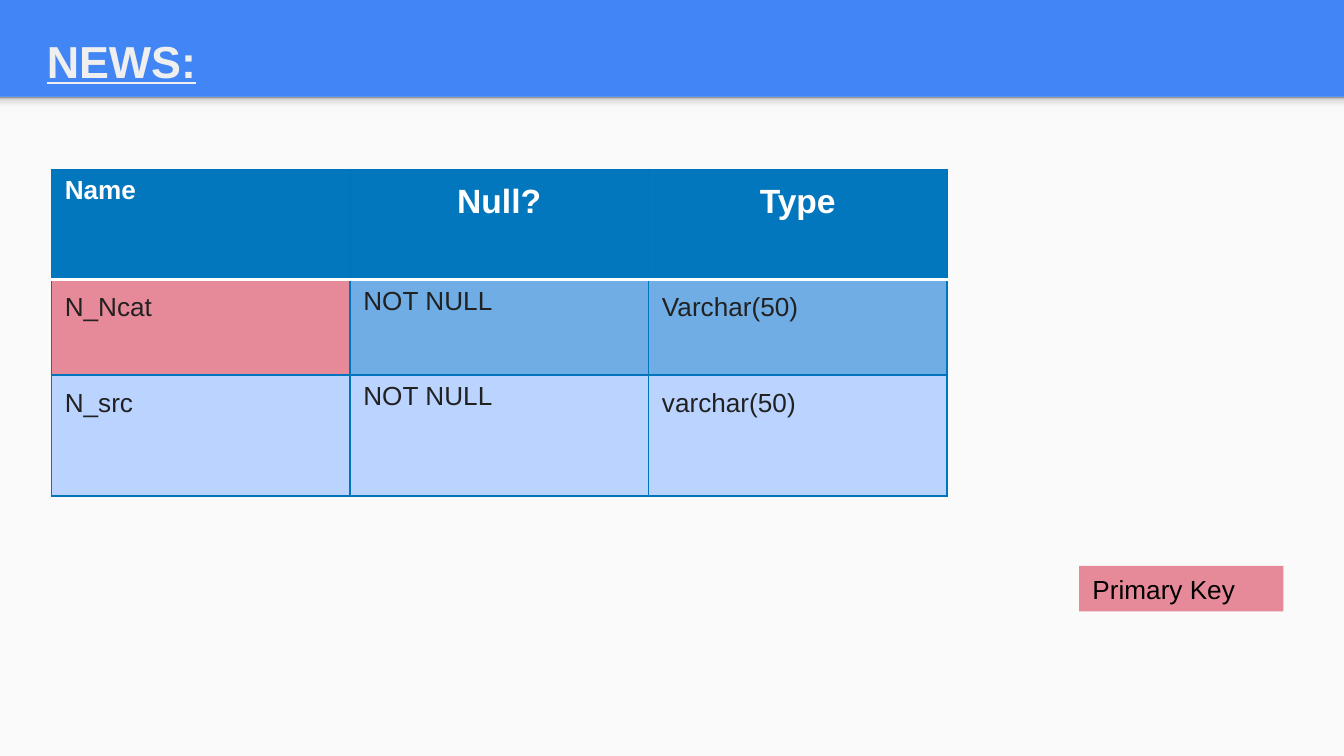
from lxml import etree
from pptx import Presentation
from pptx.dml.color import RGBColor
from pptx.enum.shapes import MSO_SHAPE
from pptx.enum.text import MSO_ANCHOR, PP_ALIGN
from pptx.oxml.ns import qn
from pptx.util import Inches, Pt

RECT = MSO_SHAPE.RECTANGLE
TOP, MIDDLE = MSO_ANCHOR.TOP, MSO_ANCHOR.MIDDLE
LEFT, CENTER = PP_ALIGN.LEFT, PP_ALIGN.CENTER
W = Inches(10)
H = W * 9 // 16
BLUE, PAPER, PINK, LIGHT, MID = "4285F4", "FAFAFA", "E68A99", "BAD3FF", "70ADE4"
HEADER, RULE, WHITE, INK = "0277BD", "0075BB", "FFFFFF", "212121"
ROW_HEIGHTS = (14.58, 12.64, 16)
ROWS = (
    ("Name", "Null?", "Type"),
    ("N_Ncat", "NOT NULL", "Varchar(50)"),
    ("N_src", "NOT NULL", "varchar(50)"),
)
FILLS = ((HEADER,) * 3, (PINK, MID, MID), (LIGHT,) * 3)
TIGHT_CELLS = {(0, 0), (1, 1), (2, 1)}


def color(value):
    return RGBColor.from_string(value)


def share(x, y, w, h):
    return [round(v * side / 100) for v, side in zip((x, y, w, h), (W, H, W, H))]


def paint(fill, value):
    fill.solid()
    fill.fore_color.rgb = color(value)


def write(tf, text, ink, align=LEFT, **font):
    p = tf.paragraphs[0]
    p.alignment = align
    r = p.add_run()
    r.text = text
    r.font.color.rgb = color(ink)
    for name, value in {"name": "Arial", **font}.items():
        setattr(r.font, name, value)


def add_rect(s, area, fill):
    sp = s.shapes.add_shape(RECT, *share(*area))
    sp.shadow.inherit = False
    sp.line.fill.background()
    paint(sp.fill, fill)
    return sp


def add_shade(s, area, stops):
    sp = add_rect(s, area, PAPER)
    sp.fill.gradient()
    sp.fill.gradient_angle = 90
    gs_list = next(sp.element.iter(qn("a:gsLst")))
    for old in list(gs_list):
        gs_list.remove(old)
    for pos, value in stops:
        gs = etree.SubElement(gs_list, qn("a:gs"), pos=str(pos * 1000))
        etree.SubElement(gs, qn("a:srgbClr"), val=value)


def add_title(s, area, text):
    tf = s.shapes.add_textbox(*share(*area)).text_frame
    tf.word_wrap = True
    tf.vertical_anchor = TOP
    tf.margin_top = tf.margin_bottom = Inches(0.1)
    write(tf, text, "EFEFEF", size=Pt(24), bold=True, underline=True)


def make_border(side, value, width):
    ln = etree.Element(qn("a:" + side), w=str(Pt(width)))
    fill = etree.SubElement(ln, qn("a:solidFill"))
    etree.SubElement(fill, qn("a:srgbClr"), val=value)
    return ln


def set_borders(cell, row):
    edges = {side: (RULE, 0.75) for side in ("lnL", "lnR", "lnT", "lnB")}
    if row == 0:
        edges["lnB"] = (WHITE, 2)
    if row == 1:
        edges["lnT"] = (WHITE, 2)
    tc_pr = cell._tc.get_or_add_tcPr()
    for i, (side, style) in enumerate(edges.items()):
        tc_pr.insert(i, make_border(side, *style))


def add_columns_table(s, area):
    table = s.shapes.add_table(len(ROWS), len(ROWS[0]), *share(*area)).table
    for row, height in zip(table.rows, ROW_HEIGHTS):
        row.height = round(height * H / 100)
    for i, texts in enumerate(ROWS):
        for j, text in enumerate(texts):
            cell = table.cell(i, j)
            paint(cell.fill, FILLS[i][j])
            set_borders(cell, i)
            if (i, j) not in TIGHT_CELLS:
                cell.margin_top = cell.margin_bottom = Inches(0.1)
            big = i == 0 and j > 0
            write(cell.text_frame, text, INK if i else WHITE,
                  CENTER if big else LEFT, size=Pt(18 if big else 14), bold=i == 0)


def add_key(s, area, text):
    tf = add_rect(s, area, PINK).text_frame
    tf.word_wrap = True
    tf.vertical_anchor = MIDDLE
    write(tf, text, "000000", size=Pt(14))


def main():
    prs = Presentation()
    prs.slide_width, prs.slide_height = W, H
    s = prs.slides.add_slide(prs.slide_layouts[6])
    paint(s.background.fill, BLUE)
    add_rect(s, (0, 12.8, 100, 87.2), PAPER)
    add_shade(s, (0, 12.8, 100, 2.13),
              ((0, "F9F9F9"), (36, "F9F9F9"), (80, "DEDEDE"), (100, "999999")))
    add_title(s, (2.5, 2.67, 34.6, 7.29), "NEWS:")
    add_columns_table(s, (3.82, 22.4, 66.65, sum(ROW_HEIGHTS)))
    add_key(s, (80.3, 74.84, 15.2, 6.04), "Primary Key")
    prs.save("out.pptx")


main()
